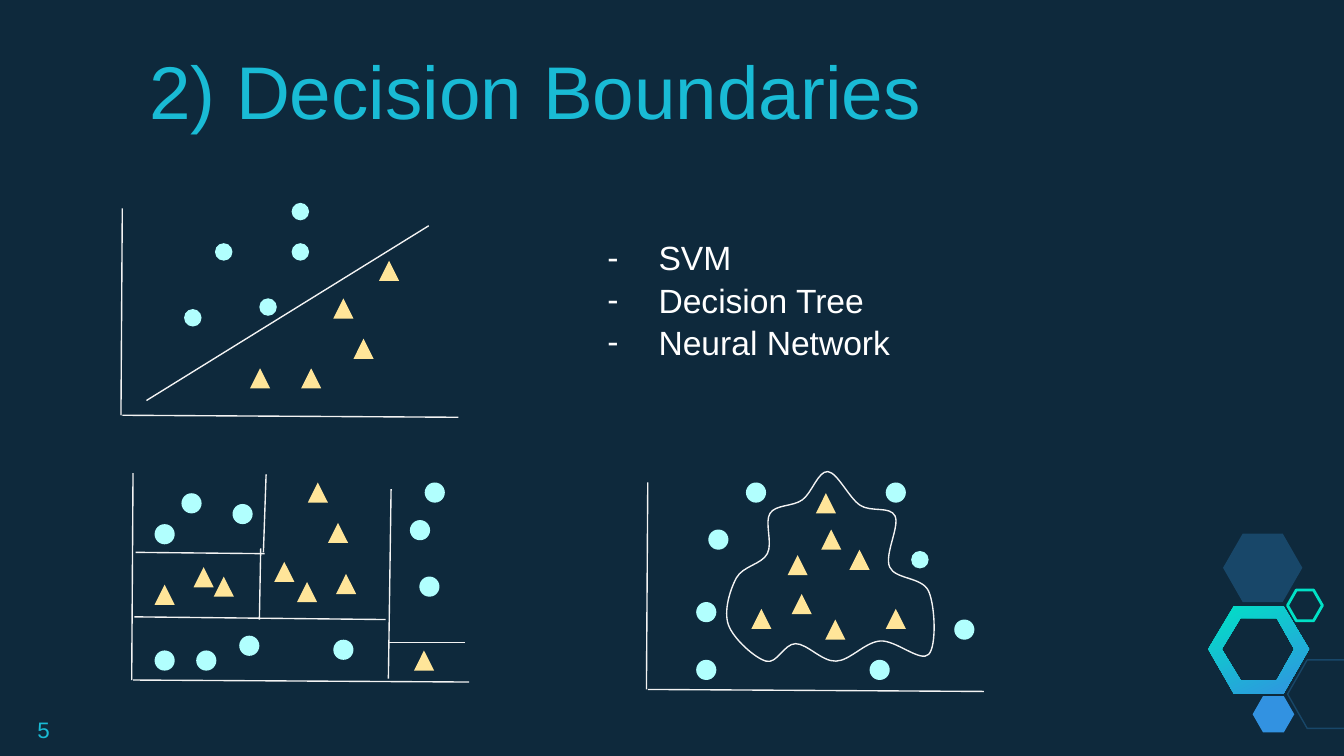
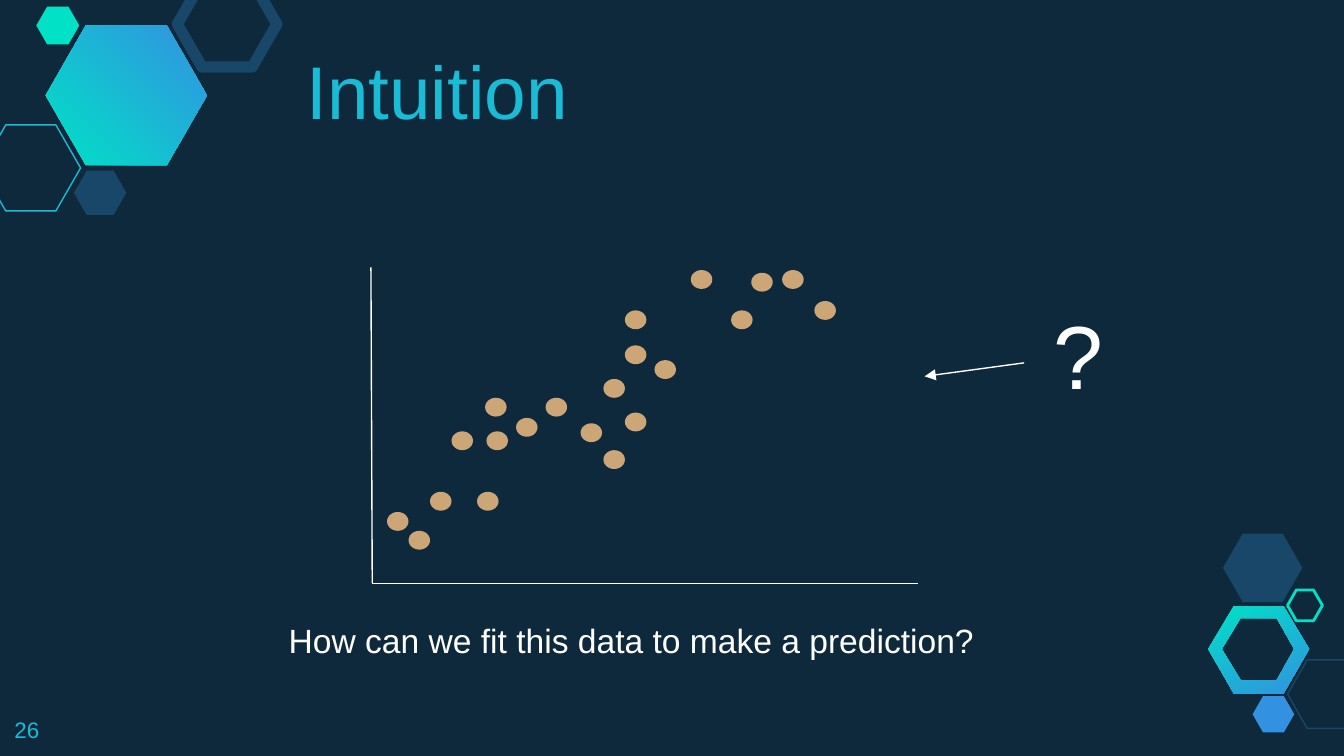
from lxml import etree
from pptx import Presentation
from pptx.dml.color import RGBColor
from pptx.enum.shapes import MSO_CONNECTOR, MSO_SHAPE
from pptx.enum.text import MSO_ANCHOR, MSO_AUTO_SIZE, PP_ALIGN
from pptx.oxml.ns import qn
from pptx.util import Inches, Pt

HEX = MSO_SHAPE.HEXAGON
DOT = MSO_SHAPE.OVAL
TRI = MSO_SHAPE.ISOSCELES_TRIANGLE
LINE = MSO_CONNECTOR.STRAIGHT
BOTTOM, TOP = MSO_ANCHOR.BOTTOM, MSO_ANCHOR.TOP
LEFT = PP_ALIGN.LEFT
FIXED = MSO_AUTO_SIZE.NONE

NIGHT, NAVY, BLUE = "0E293C", "184769", "3292E1"
CYAN, MINT = "19BBD5", "00E1C6"
WHITE, PALE = "FFFFFF", "F3F3F3"
AQUA, SAND, TAN = "B1FFFE", "FFE599", "CCA677"
COLS, ROWS = 100, 56.25

SVM_DOTS = [(21.7, 18.1), (13.7, 23), (16, 18.1), (19.3, 22.2), (21.7, 15.1)]
SVM_TRIS = [(24.8, 22.2), (28.2, 19.4), (18.6, 27.4), (22.4, 27.4), (26.3, 25.2)]
TREE_DOTS = [(13.5, 36.7), (17.3, 37.5), (11.5, 39), (11.5, 48.4), (14.6, 48.4),
             (17.8, 47.3), (31.6, 35.9), (30.5, 38.7), (31.2, 42.9), (24.8, 47.6)]
TREE_TRIS = [(11.5, 43.5), (15.9, 42.9), (14.4, 42.2), (20.4, 41.8), (22.9, 35.9),
             (22.1, 43.3), (24.4, 38.9), (25, 42.7), (30.8, 48.4)]
NET_DOTS = [(52.7, 39.4), (51.8, 44.8), (51.8, 49.1), (64.7, 49.1), (55.5, 35.9),
            (71, 46.1), (65.9, 35.9)]
NET_TRIS = [(63.2, 40.9), (55.9, 45.3), (61.4, 46.1), (58.9, 44.2), (58.6, 41.3),
            (65.9, 45.3), (60.7, 36.7), (61.1, 39.4)]
SPLITS = [((19.8, 35.3), (19.6, 41.1)), ((19.7, 41.2), (10.1, 41.1)),
          ((29.1, 36.4), (28.9, 50.5)), ((19.4, 40.8), (19.3, 46.1)),
          ((28.7, 46.1), (10, 45.9)), ((34.6, 47.8), (28.9, 47.8))]
BLOB = [(57.3, 38.2), (57.1, 41.2), (54.8, 43), (54.2, 46.5), (57, 49.2),
        (59.2, 47.9), (62.2, 49.2), (65.5, 47.7), (69.1, 48.7), (69.1, 44),
        (66.2, 42.2), (66.6, 38.4), (64, 37.6), (61.6, 35.1), (59.7, 37.2)]
TREND = [(46.5, 23.1), (46.5, 30.7), (48.7, 26.8), (44.9, 28.2), (36.1, 29.6),
         (36.2, 32.1), (35.5, 36.6), (33.6, 32.1), (40.6, 29.6), (58.2, 20.1),
         (46.5, 25.7), (60.6, 22.4), (51.4, 20.1), (32, 36.6), (30.4, 39.5),
         (28.8, 38.1), (54.4, 23.1), (44.9, 33.5), (55.9, 20.3), (38.4, 31.1),
         (43.2, 31.5)]


def hue(code):
    return RGBColor.from_string(code)


class Deck:
    """Holds the style, the grid and the current slide."""

    def __init__(self):
        self.prs = Presentation()
        self.prs.slide_width = Inches(10)
        self.prs.slide_height = Inches(5.625)
        self.col = self.prs.slide_width / COLS
        self.row = self.prs.slide_height / ROWS

    def spot(self, x, y):
        return round(x * self.col), round(y * self.row)

    def page(self, layout, title, box, number, left):
        self.slide = self.prs.slides.add_slide(self.prs.slide_layouts[layout])
        back = self.slide.background.fill
        back.solid()
        back.fore_color.rgb = hue(NIGHT)
        self.corner()
        self.label(self.slide.shapes.title, box, [title], 40, CYAN, BOTTOM)
        self.text((left, 52.3, 6, 3.9), number, 12, CYAN)

    def place(self, shape, box):
        shape.left, shape.top = self.spot(*box[:2])
        shape.width, shape.height = self.spot(*box[2:])

    def label(self, shape, box, lines, size, color, anchor=TOP):
        self.place(shape, box)
        frame = shape.text_frame
        frame.text = "\n".join(lines)
        frame.word_wrap = True
        frame.auto_size = FIXED
        frame.vertical_anchor = anchor
        frame.margin_left = frame.margin_right = Inches(0.1)
        frame.margin_top = frame.margin_bottom = Inches(0.1)
        for para in frame.paragraphs:
            para.alignment = LEFT
            para.space_before = Pt(0)
            for run in para.runs:
                run.font.name = "Arial"
                run.font.size = Pt(size)
                run.font.color.rgb = hue(color)

    def text(self, box, words, size, color):
        shape = self.slide.shapes.add_textbox(0, 0, 0, 0)
        self.label(shape, box, [words], size, color)

    def items(self, box, lines):
        body = self.slide.placeholders[1]
        self.label(body, box, lines, 18, WHITE)
        for para in body.text_frame.paragraphs:
            para.line_spacing = 1.05
            props = para._p.get_or_add_pPr()
            props.set("marL", str(Inches(0.5)))
            props.set("indent", str(-Inches(0.38)))
            tint = etree.SubElement(props, qn("a:buClr"))
            etree.SubElement(tint, qn("a:srgbClr")).set("val", WHITE)
            etree.SubElement(props, qn("a:buFont")).set("typeface", "Arial")
            etree.SubElement(props, qn("a:buChar")).set("char", "-")

    def paint(self, shape, fill=None, line=None, width=0.75, angle=None):
        shape.shadow.inherit = False
        if angle is not None:
            shape.fill.gradient()
            shape.fill.gradient_angle = angle
            for stop, code in zip(shape.fill.gradient_stops, (MINT, BLUE)):
                stop.color.rgb = hue(code)
        elif fill:
            shape.fill.solid()
            shape.fill.fore_color.rgb = hue(fill)
        else:
            shape.fill.background()
        if line:
            shape.line.color.rgb = hue(line)
            shape.line.width = Pt(width)
        else:
            shape.line.fill.background()

    def form(self, kind, box, **style):
        shape = self.slide.shapes.add_shape(kind, 0, 0, 0, 0)
        self.place(shape, box)
        self.paint(shape, **style)
        return shape

    def hexa(self, box, **style):
        self.form(HEX, box, **style).adjustments[0] = 0.287

    def marks(self, kind, spots, color, wide=1.5, high=1.5):
        for x, y in spots:
            self.form(kind, (x, y, wide, high), fill=color)

    def line(self, start, end, color=PALE, arrow=False):
        link = self.slide.shapes.add_connector(LINE, *self.spot(*start), *self.spot(*end))
        link.line.color.rgb = hue(color)
        link.line.width = Pt(0.75)
        props = link._element.spPr
        if arrow:
            etree.SubElement(props.find(qn("a:ln")), qn("a:tailEnd")).set("type", "triangle")
        etree.SubElement(props, qn("a:effectLst"))

    def axes(self, x, y):
        self.line((x, y), (x - 0.1, y + 15.4))
        self.line((x, y + 15.4), (x + 25, y + 15.55))

    def outline(self, *loops, **style):
        first, *rest = [[self.spot(*p) for p in loop] for loop in loops]
        pen = self.slide.shapes.build_freeform(*first[0])
        pen.add_line_segments(first[1:], close=True)
        for loop in rest:
            pen.move_to(*loop[0])
            pen.add_line_segments(loop[1:], close=True)
        shape = pen.convert_to_shape()
        self.paint(shape, **style)
        return shape

    def curve(self, knots, **style):
        points = [knots[0]]
        count = len(knots)
        for i in range(count):
            a, b, c, d = (knots[(i + k) % count] for k in (-1, 0, 1, 2))
            points.append(tuple(q + (r - p) / 6 for p, q, r in zip(a, b, c)))
            points.append(tuple(r - (s - q) / 6 for q, r, s in zip(b, c, d)))
            points.append(c)
        shape = self.outline(points, **style)
        track = next(shape._element.iter(qn("a:path")))
        steps = track.findall(qn("a:lnTo"))[:3 * count]
        for i in range(0, len(steps), 3):
            bend = etree.Element(qn("a:cubicBezTo"))
            steps[i].addprevious(bend)
            for step in steps[i:i + 3]:
                bend.append(step[0])
                track.remove(step)

    def corner(self):
        outer = [(91.8, 51.6), (89.9, 48.3), (91.8, 45.1), (95.5, 45.1), (97.4, 48.3), (95.5, 51.6)]
        inner = [(92.3, 50.6), (95, 50.6), (96.3, 48.3), (95, 46), (92.3, 46), (90.9, 48.3)]
        self.outline(outer, inner, angle=296)
        self.hexa((95.8, 49.1, 5.9, 5.1), line=NAVY)
        self.hexa((93.2, 51.8, 3.1, 2.7), fill=BLUE)
        self.hexa((91, 39.7, 5.9, 5.1), fill=NAVY)
        self.hexa((95.8, 43.9, 2.6, 2.3), line=MINT, width=1.5)

    def crown(self):
        self.hexa((3.4, 1.9, 12, 10.4), angle=45)
        self.hexa((-1.4, 9.3, 7.4, 6.4), line=CYAN)
        self.hexa((5.5, 12.7, 3.9, 3.3), fill=NAVY)
        self.hexa((13.2, -1.4, 7.4, 6.4), line=NAVY, width=6)
        self.hexa((2.7, 0.5, 3.2, 2.8), fill=MINT)


def bounds(deck):
    deck.page(1, "2) Decision Boundaries", (10.1, 3.9, 86.5, 7.1), "5", 1.8)
    deck.items((43, 16.5, 34.3, 13), ["SVM", "Decision Tree", "Neural Network"])
    for x, y in ((9.1, 15.5), (9.9, 35.2), (48.2, 35.9)):
        deck.axes(x, y)
    deck.line((10.9, 29.8), (31.9, 16.8))
    for start, end in SPLITS:
        deck.line(start, end)
    deck.curve(BLOB, line=PALE)
    deck.marks(DOT, SVM_DOTS + [(67.8, 41)], AQUA, 1.3, 1.3)
    deck.marks(DOT, TREE_DOTS + NET_DOTS, AQUA)
    deck.marks(TRI, SVM_TRIS + TREE_TRIS + NET_TRIS, SAND)


def hunch(deck):
    deck.page(5, "Intuition", (21.8, 3.9, 74.8, 7.1), "26", 0.1)
    deck.crown()
    deck.line((27.7, 43.4), (27.6, 19.9), WHITE)
    deck.line((27.7, 43.4), (68.3, 43.4), WHITE)
    deck.marks(DOT, TREND, TAN, 1.6, 1.4)
    deck.text((77.4, 21.3, 4.1, 6), "?", 48, WHITE)
    deck.line((76.2, 27), (68.8, 28), WHITE, arrow=True)
    deck.text((20.5, 45.1, 65, 6), "How can we fit this data to make a prediction?", 18, WHITE)


def main():
    deck = Deck()
    bounds(deck)
    hunch(deck)
    deck.prs.save("out.pptx")


if __name__ == "__main__":
    main()
